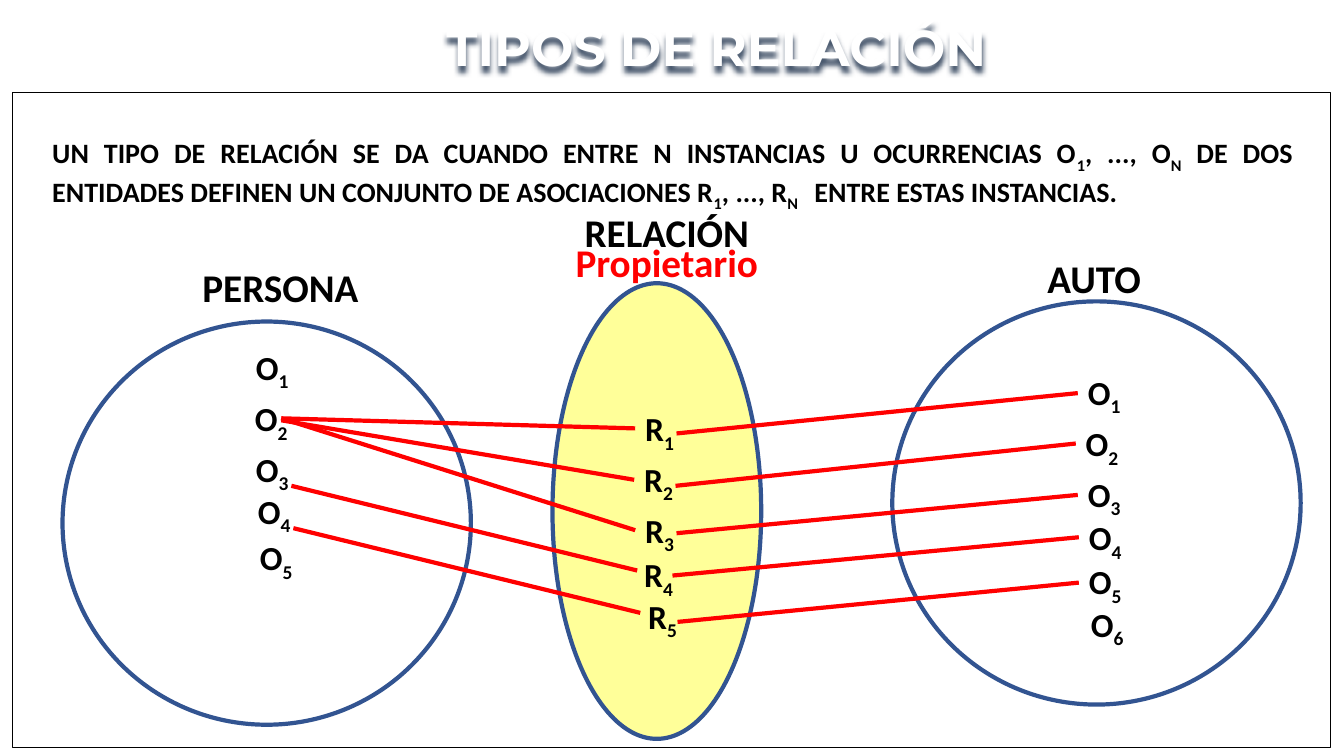
from lxml.etree import SubElement
from pptx import Presentation
from pptx.dml.color import RGBColor
from pptx.enum.shapes import MSO_CONNECTOR, MSO_SHAPE
from pptx.enum.text import MSO_AUTO_SIZE, PP_ALIGN
from pptx.oxml import parse_xml
from pptx.oxml.ns import nsdecls, qn
from pptx.util import Inches, Pt

HUES = {"ink": "000000", "paper": "FFFFFF", "edge": "325491",
        "link": "FF0000", "oval": "FFFF99", "shade": "44546A"}


class Board:
    """Style and slide; lengths are cells of a grid, ten to the inch."""
    font = "Calibri"
    cell = Inches(0.1)

    def __init__(self, slide):
        self.slide = slide

    def size(self, *cells):
        return [round(n * self.cell) for n in cells]

    def hue(self, name):
        return RGBColor.from_string(HUES[name])

    def shape(self, kind, box, fill, line, width):
        item = self.slide.shapes.add_shape(kind, *self.size(*box))
        item.shadow.inherit = False
        if fill:
            item.fill.solid()
            item.fill.fore_color.rgb = self.hue(fill)
        else:
            item.fill.background()
        item.line.color.rgb = self.hue(line)
        item.line.width = Pt(width)

    def text(self, box, runs, size, hue="ink", font=None, align=PP_ALIGN.LEFT,
             wrap=True, inset=True):
        """Runs take turns: normal, subscript, normal and so on."""
        item = self.slide.shapes.add_textbox(*self.size(*box))
        frame = item.text_frame
        frame.word_wrap = wrap
        frame.auto_size = MSO_AUTO_SIZE.SHAPE_TO_FIT_TEXT
        if not inset:
            frame.margin_left = frame.margin_right = 0
            frame.margin_top = frame.margin_bottom = 0
        para = frame.paragraphs[0]
        para.alignment = align
        for turn, words in enumerate(runs):
            run = para.add_run()
            run.text = words
            run.font.size = Pt(size)
            run.font.bold = True
            run.font.color.rgb = self.hue(hue)
            run.font.name = font or self.font
            if turn % 2:
                run.font._element.set("baseline", "-25000")
        return item

    def shade(self, item, hue):
        """Drop shadow; an unfilled box casts it from its letters."""
        item._element.spPr.append(parse_xml(
            f'<a:effectLst {nsdecls("a")}><a:outerShdw blurRad="50800" '
            f'dist="50800" dir="5400000" algn="t" rotWithShape="0">'
            f'<a:srgbClr val="{HUES[hue]}"/></a:outerShdw></a:effectLst>'))

    def link(self, start, end):
        line = self.slide.shapes.add_connector(
            MSO_CONNECTOR.STRAIGHT, *self.size(*start, *end))
        line.line.color.rgb = self.hue("link")
        line.line.width = Pt(3)
        SubElement(line._element.spPr, qn("a:effectLst"))


def main():
    deck = Presentation()
    deck.slide_width, deck.slide_height = Inches(13.33), Inches(7.5)
    board = Board(deck.slides.add_slide(deck.slide_layouts[6]))

    # Frame and title
    board.shape(MSO_SHAPE.RECTANGLE, (1.2, 9.2, 130.8, 65), "paper", "ink", 0.75)
    title = board.text((14.3, 1.6, 113.5, 6.1), ["TIPOS DE RELACIÓN"], 36,
                       "paper", "Montserrat", PP_ALIGN.CENTER, inset=False)
    board.shade(title, "shade")

    # Definition
    board.text((4.2, 13, 125, 7.7), [
        "UN TIPO DE RELACIÓN SE DA CUANDO ENTRE N INSTANCIAS U OCURRENCIAS O",
        "1", ", ..., O", "N",
        " DE DOS ENTIDADES DEFINEN UN CONJUNTO DE ASOCIACIONES R",
        "1", ", ..., R", "N ", "  ENTRE ESTAS INSTANCIAS."],
        20, align=PP_ALIGN.JUSTIFY)

    # Sets
    for box, fill in [((88.5, 29.9, 40.5, 40), None),
                      ((6.2, 31.9, 40.5, 40), None),
                      ((54.8, 28.1, 20.7, 45.2), "oval")]:
        board.shape(MSO_SHAPE.OVAL, box, fill, "edge", 3)

    # Members of each set, numbered from the top
    sets = [
        ("O", [(24.4, 33.9), (24.3, 39), (24.4, 44), (24.6, 48.2), (24.8, 52.8)]),
        ("R", [(63, 40), (62.9, 45), (63, 50.1), (62.9, 54.5), (63.3, 58.6)]),
        ("O", [(106.9, 36.4), (106.7, 41.5), (106.9, 46.5), (107, 50.8),
               (107, 55.2), (107.2, 59.4)])]
    for mark, spots in sets:
        for index, spot in enumerate(spots, 1):
            board.text((*spot, 8.5, 5), [mark, str(index)], 24)

    # Links: person to relation, then relation to car
    for start, end in [
            ((27.9, 41.5), (63, 42.5)), ((27.9, 41.7), (62.9, 47.6)),
            ((27.9, 41.5), (63, 52.6)), ((28.9, 48.2), (63.2, 56.6)),
            ((29.1, 52.4), (63.5, 60.8)),
            ((67.1, 43), (106.9, 39)), ((67, 48.2), (106.7, 44)),
            ((67.1, 52.9), (106.9, 49.1)), ((66.7, 57.1), (107, 53.3)),
            ((67.2, 61.7), (107, 57.8))]:
        board.link(start, end)

    # Headings
    for left, top, width, name, hue in [
            (19.1, 25.6, 17.7, "PERSONA", "ink"),
            (102.9, 24.7, 11.4, "AUTO", "ink"),
            (57, 20.2, 18.5, "RELACIÓN", "ink"),
            (56.1, 23.2, 20.3, "Propietario", "link")]:
        board.text((left, top, width, 5.7), [name], 28, hue, wrap=False)

    deck.save("out.pptx")


if __name__ == "__main__":
    main()
